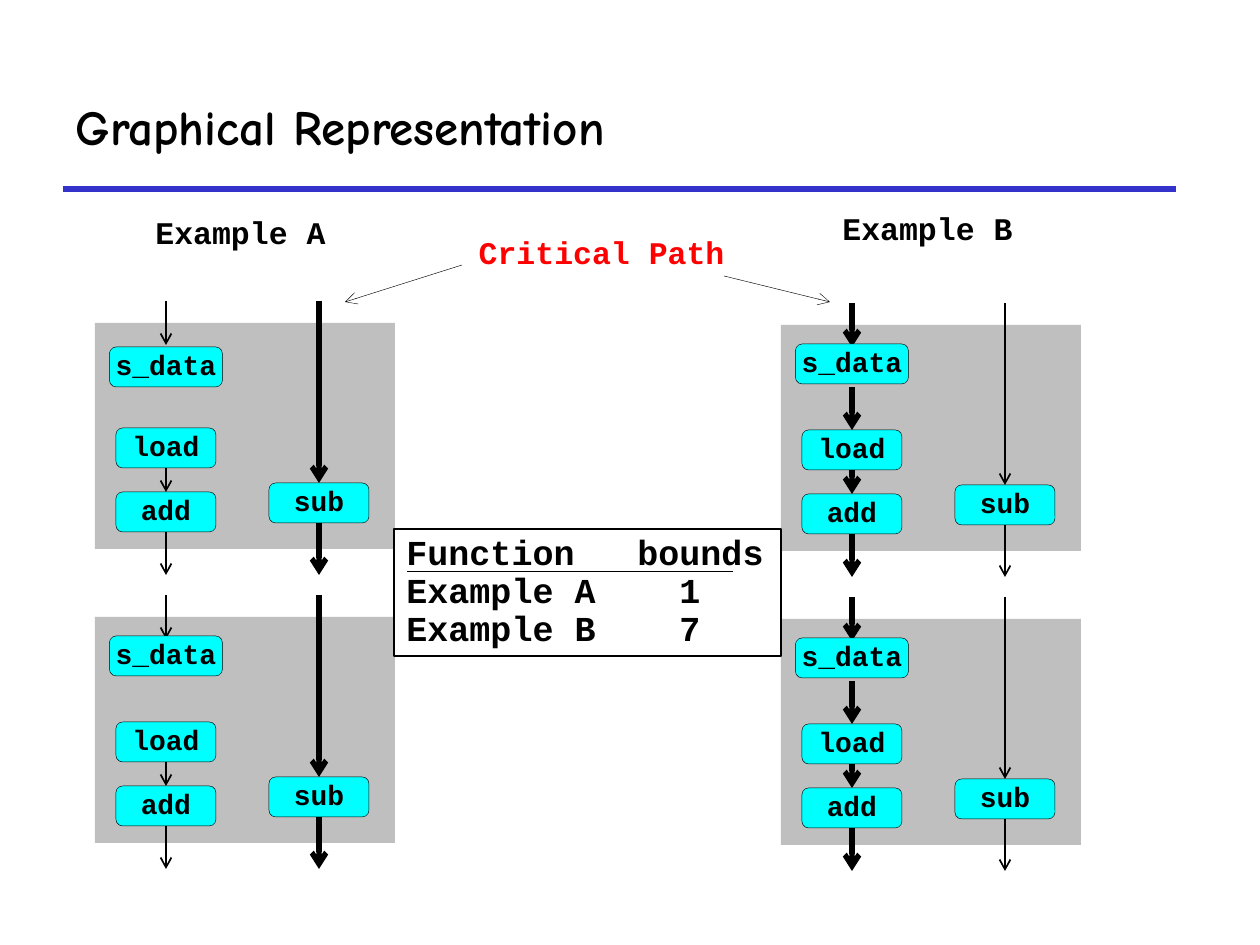
from pptx import Presentation
from pptx.dml.color import RGBColor
from pptx.enum.shapes import MSO_CONNECTOR as Connector, MSO_SHAPE as Preset
from pptx.enum.text import MSO_ANCHOR as Anchor, MSO_AUTO_SIZE as AutoSize, PP_ALIGN as Align
from pptx.oxml.ns import qn
from pptx.util import Inches, Pt
from lxml.etree import SubElement

BLACK = RGBColor(0x00, 0x00, 0x00)
WHITE = RGBColor(0xFF, 0xFF, 0xFF)
GRAY = RGBColor(0xBF, 0xBF, 0xBF)
CYAN = RGBColor(0x00, 0xFF, 0xFF)
BLUE = RGBColor(0x33, 0x33, 0xCC)
RED = RGBColor(0xFF, 0x00, 0x00)

MONO = "Courier New"
HEADING = "Comic Neue"
TOP, BOTTOM = 0, 2
THIN, THICK = 1, 3
HAIRLINE = 0.25

LEFT_LANE, RIGHT_LANE = 71, 224
NODE_WIDTH, NODE_HEIGHT = 100, 40
ENTRY, EXIT = -22, 252
ROW_PITCH = 294


def px(value):
    """Turn whole pixels into EMU."""
    return round(value * Inches(1) / 126)


def add_run(paragraph, text, size, color=BLACK, font_name=MONO):
    """Add one bold run to a paragraph."""
    run = paragraph.add_run()
    run.text = text
    run.font.name = font_name
    run.font.size = Pt(size)
    run.font.bold = True
    run.font.color.rgb = color


def add_title(slide, text):
    """Place and format the title."""
    title = slide.shapes.title
    title.left, title.top, title.width, title.height = px(63), px(63), px(1113), px(126)
    frame = title.text_frame
    frame.auto_size = AutoSize.NONE
    frame.vertical_anchor = Anchor.MIDDLE
    frame.paragraphs[0].alignment = Align.LEFT
    add_run(frame.paragraphs[0], text, 28, font_name=HEADING)


def add_label(shapes, text, left, top, width, color=BLACK, alignment=Align.LEFT):
    """Add a one-line label."""
    box = shapes.add_textbox(px(left), px(top), px(width), px(47))
    frame = box.text_frame
    frame.word_wrap = True
    frame.auto_size = AutoSize.SHAPE_TO_FIT_TEXT
    paragraph = frame.paragraphs[0]
    paragraph.alignment = alignment
    paragraph.line_spacing = 0.9
    add_run(paragraph, text, 18, color)


def add_block(shapes, preset, left, top, width, height, fill, line_width=None):
    """Add a filled shape, outlined in black when a line width is given."""
    shape = shapes.add_shape(preset, px(left), px(top), px(width), px(height))
    shape.shadow.inherit = False
    shape.fill.solid()
    shape.fill.fore_color.rgb = fill
    if line_width is None:
        shape.line.fill.background()
    else:
        shape.line.color.rgb = BLACK
        shape.line.width = Pt(line_width)
    return shape


def add_node(shapes, text, center, top, width=NODE_WIDTH):
    """Add a rounded operation node centred on its lane."""
    node = add_block(shapes, Preset.ROUNDED_RECTANGLE, center - width / 2, top,
                     width, NODE_HEIGHT, CYAN, HAIRLINE)
    frame = node.text_frame
    frame.margin_left = frame.margin_right = frame.margin_top = frame.margin_bottom = 0
    frame.word_wrap = width == NODE_WIDTH
    frame.vertical_anchor = Anchor.MIDDLE
    paragraph = frame.paragraphs[0]
    paragraph.alignment = Align.CENTER
    paragraph.line_spacing = 0.9
    add_run(paragraph, text, 16)
    return node


def add_line(shapes, start, end, width, color=BLACK, arrow=True, source=None, target=None):
    """Add a straight line, joined to the nodes it leaves and enters."""
    line = shapes.add_connector(Connector.STRAIGHT, *map(px, start + end))
    line.line.color.rgb = color
    line.line.width = Pt(width)
    properties = line._element.spPr
    if arrow:
        SubElement(properties.find(qn("a:ln")), qn("a:tailEnd"), type="arrow")
    SubElement(properties, qn("a:effectLst"))
    if source is not None:
        line.begin_connect(source, BOTTOM)
    if target is not None:
        line.end_connect(target, TOP)


def add_iteration(shapes, left, top, data_offset, left_width, right_width, chained):
    """Add one loop iteration with its two dependence lanes."""
    add_block(shapes, Preset.RECTANGLE, left, top, 300, 226, GRAY)
    left_x, right_x = left + LEFT_LANE, left + RIGHT_LANE
    sub = add_node(shapes, "sub", right_x, top + 160)
    load = add_node(shapes, "load", left_x, top + 105)
    add = add_node(shapes, "add", left_x, top + 169)

    def flow(x, start, end, width, source=None, target=None):
        """Add a downward arrow within this iteration."""
        add_line(shapes, (x, top + start), (x, top + end), width,
                 source=source, target=target)

    flow(right_x, ENTRY, 160, right_width, target=sub)
    flow(right_x, 200, EXIT, right_width, source=sub)
    flow(left_x, ENTRY, 22, left_width)
    if chained:
        flow(left_x, 62, 105, left_width, target=load)
    flow(left_x, 145, 169, left_width, source=load, target=add)
    flow(left_x, 209, EXIT, left_width, source=add)
    add_node(shapes, "s_data", left_x, top + data_offset, 113)


def add_bounds(shapes):
    """Add the summary of function bounds with its ruled heading."""
    group = shapes.add_group_shape()
    box = add_block(group.shapes, Preset.RECTANGLE, 394, 529, 387, 127, WHITE, 0.75)
    frame = box.text_frame
    frame.word_wrap = True
    frame.auto_size = AutoSize.SHAPE_TO_FIT_TEXT
    frame.vertical_anchor = Anchor.TOP
    rows = [("Function", "bounds", 231), ("Example A", "1", 273), ("Example B", "7", 273)]
    for index, (name, bound, stop) in enumerate(rows):
        paragraph = frame.add_paragraph() if index else frame.paragraphs[0]
        paragraph.alignment = Align.LEFT
        paragraph.line_spacing = 0.9
        tabs = SubElement(paragraph._p.get_or_add_pPr(), qn("a:tabLst"))
        SubElement(tabs, qn("a:tab"), pos=str(px(stop)), algn="l")
        add_run(paragraph, f"{name}\t{bound}", 20)
    add_line(group.shapes, (407, 571), (733, 571), HAIRLINE, arrow=False)


def main():
    """Build and save the slide."""
    presentation = Presentation()
    presentation.slide_width, presentation.slide_height = Inches(10), Inches(7.5)
    slide = presentation.slides.add_slide(presentation.slide_layouts[5])
    shapes = slide.shapes
    add_line(shapes, (63, 189), (1176, 189), 3, BLUE, arrow=False)
    add_title(slide, "Graphical Representation")
    for row, data_offset in enumerate((24, 19)):
        offset = row * ROW_PITCH
        add_iteration(shapes, 95, 323 + offset, data_offset, THIN, THICK, False)
        add_iteration(shapes, 781, 325 + offset, 19, THICK, THIN, True)
    add_label(shapes, "Example A", 143, 211, 202)
    add_label(shapes, "Example B", 830, 207, 202)
    add_label(shapes, "Critical Path", 427, 231, 349, RED, Align.CENTER)
    add_line(shapes, (462, 265), (345, 302), HAIRLINE)
    add_line(shapes, (724, 276), (830, 302), HAIRLINE)
    add_bounds(shapes)
    presentation.save("out.pptx")


if __name__ == "__main__":
    main()
